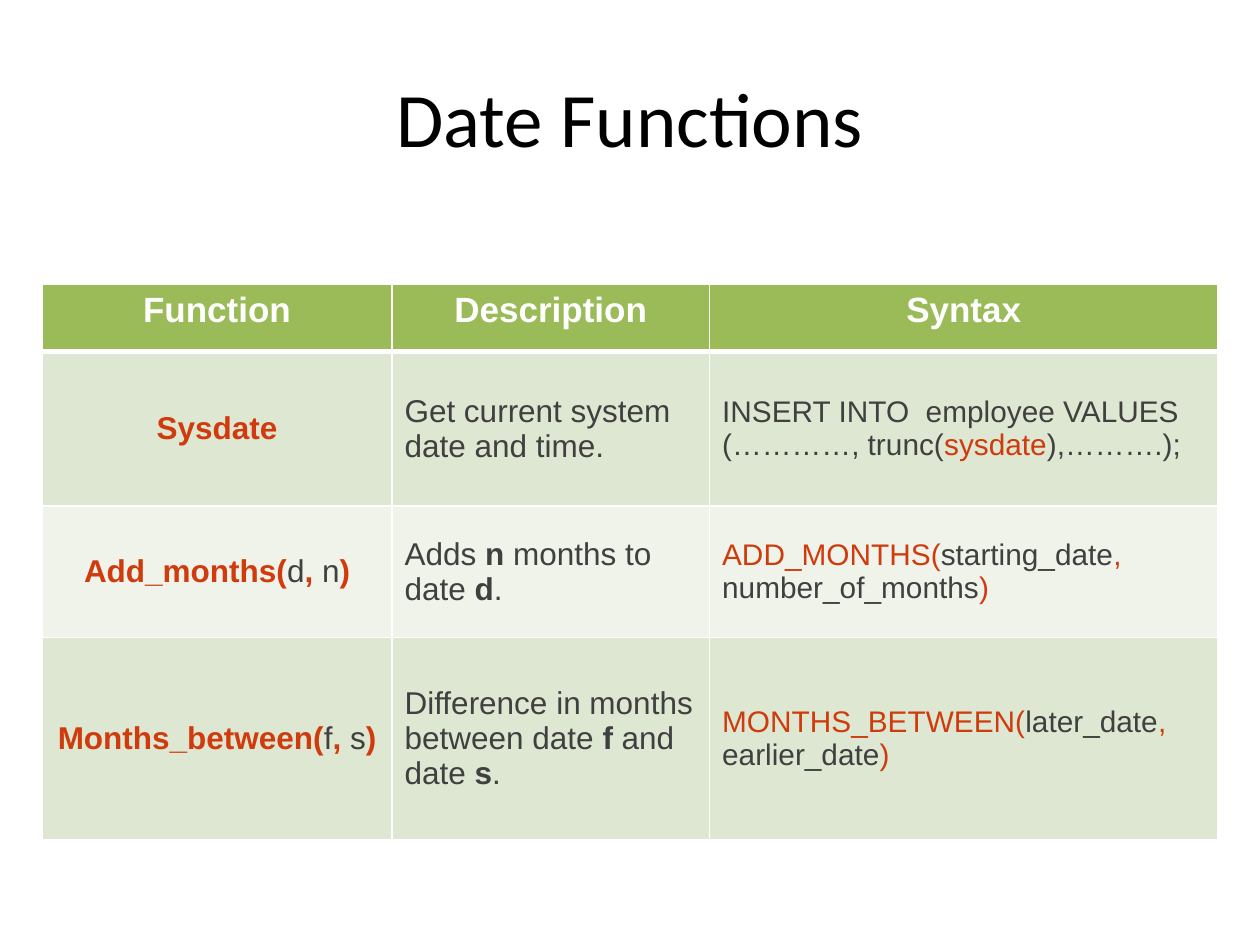
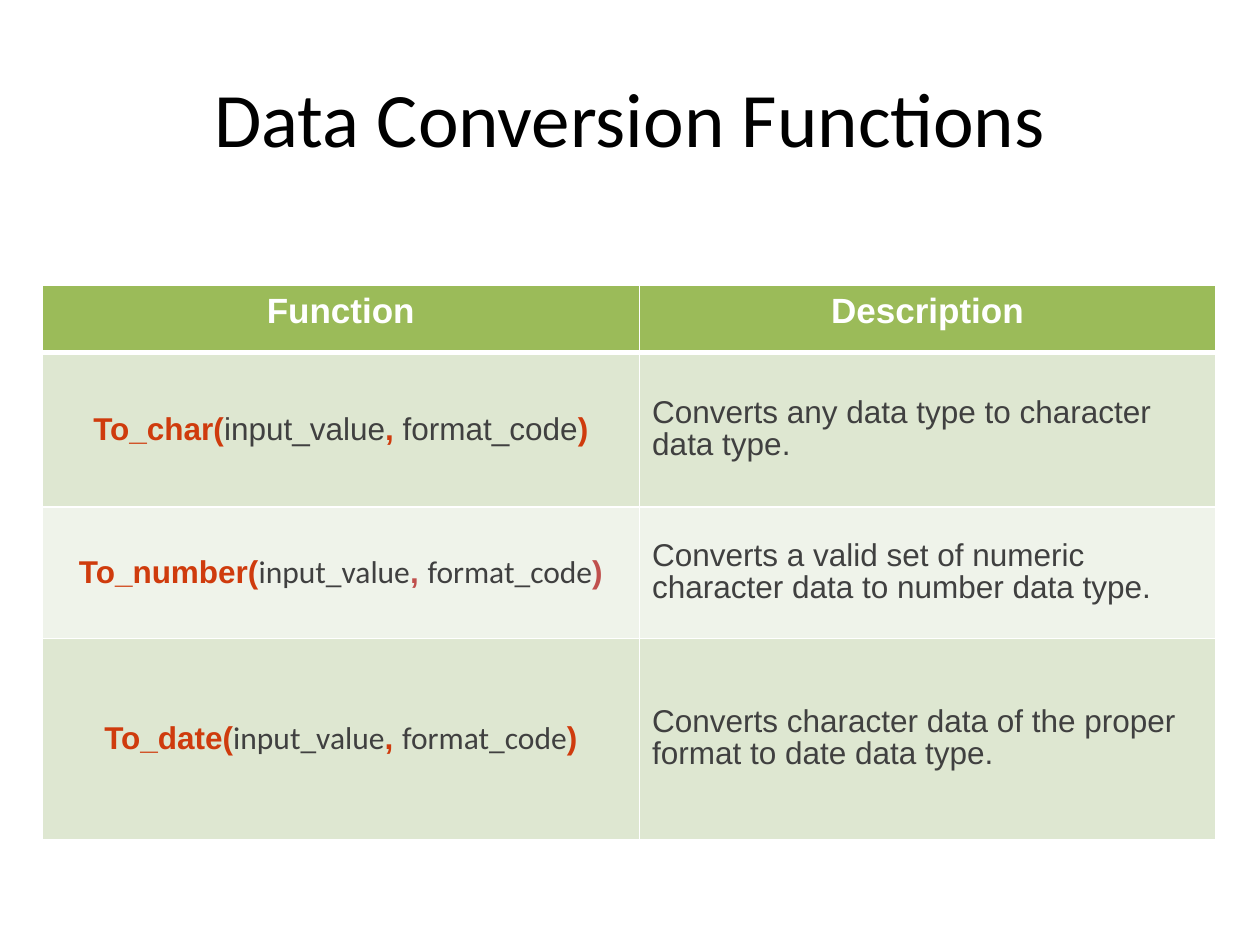
from dataclasses import dataclass

from lxml.etree import SubElement
from pptx import Presentation
from pptx.dml.color import RGBColor
from pptx.enum.text import MSO_ANCHOR as Anchor, PP_ALIGN as Align
from pptx.oxml.ns import qn
from pptx.util import Pt


@dataclass(frozen=True)
class Theme:
    """Hold the colours, fonts, type sizes and line widths of all slides."""
    title_color: str = "000000"
    header_fill: str = "9BBB59"
    band_fills: tuple = ("DEE7D1", "EFF3EA")
    white: str = "FFFFFF"
    body: str = "404040"
    accent: str = "CF3B0D"
    accent_soft: str = "C0504D"
    title_font: str = "Calibri"
    table_font: str = "Arial"
    title_size: int = 44
    header_size: int = 20
    body_size: int = 18
    syntax_size: int = 17
    thin_line: int = 1
    header_line: int = 3


THEME = Theme()
ROW_HEIGHTS = (38.4, 88.4, 75, 115.4)
TABLE_LEFT = 24


@dataclass(frozen=True)
class Cell:
    """Describe the paragraphs of a table cell and how they are set."""
    paragraphs: list
    align: Align = Align.LEFT
    size: int = THEME.body_size
    spacing: float = 1.0
    anchor: Anchor = Anchor.MIDDLE


def run(text, **style):
    """Pair a piece of text with its format."""
    return text, style


def call_runs(name, *arguments, bold=True, font=THEME.table_font, mark=THEME.accent):
    """Return the runs of a function call with its arguments in plain type."""
    runs = [run(f"{name}(", color=THEME.accent, bold=bold)]
    for index, argument in enumerate(arguments):
        if index:
            runs.append(run(", ", color=mark, bold=bold))
        runs.append(run(argument, font=font))
    return runs + [run(")", color=mark, bold=bold)]


def header_cell(text):
    """Return a cell of the header row."""
    runs = [run(text, color=THEME.white, bold=True)]
    return Cell([runs], Align.CENTER, THEME.header_size, anchor=Anchor.TOP)


def name_cell(runs, spacing=1.0):
    """Return a centred cell that names a function."""
    return Cell([runs], Align.CENTER, spacing=spacing)


def description_cell(*parts, spacing=1.0):
    """Return a description in which every second part is bold."""
    runs = [run(part, bold=index % 2 == 1) for index, part in enumerate(parts)]
    return Cell([runs], spacing=spacing)


def syntax_cell(*paragraphs):
    """Return a cell that shows the syntax of a function."""
    return Cell(list(paragraphs), size=THEME.syntax_size)


def add_run(paragraph, text, *, size, color=THEME.body, bold=False, font=THEME.table_font):
    """Append formatted text to a paragraph."""
    text_run = paragraph.add_run()
    text_run.text = text
    text_run.font.name = font
    text_run.font.size = Pt(size)
    text_run.font.bold = bold
    text_run.font.color.rgb = RGBColor.from_string(color)


def add_title(slide, text):
    """Add the centred slide title."""
    box = slide.shapes.add_textbox(Pt(36), Pt(21.6), Pt(648), Pt(90))
    frame = box.text_frame
    frame.word_wrap = True
    frame.vertical_anchor = Anchor.MIDDLE
    paragraph = frame.paragraphs[0]
    paragraph.alignment = Align.CENTER
    add_run(paragraph, text, size=THEME.title_size, color=THEME.title_color, font=THEME.title_font)


def set_borders(table_cell, top, bottom):
    """Draw white lines on the four sides of a cell."""
    properties = table_cell._tc.get_or_add_tcPr()
    widths = {"L": THEME.thin_line, "R": THEME.thin_line, "T": top, "B": bottom}
    for position, (side, width) in enumerate(widths.items()):
        line = SubElement(properties, qn(f"a:ln{side}"), w=str(Pt(width)))
        properties.insert(position, line)
        fill = SubElement(line, qn("a:solidFill"))
        SubElement(fill, qn("a:srgbClr"), val=THEME.white)


def fill_cell(table_cell, cell, color):
    """Write the content of a cell and colour its background."""
    table_cell.fill.solid()
    table_cell.fill.fore_color.rgb = RGBColor.from_string(color)
    table_cell.vertical_anchor = cell.anchor
    frame = table_cell.text_frame
    for index, runs in enumerate(cell.paragraphs):
        paragraph = frame.add_paragraph() if index else frame.paragraphs[0]
        paragraph.alignment = cell.align
        paragraph.line_spacing = cell.spacing
        for text, style in runs:
            add_run(paragraph, text, size=cell.size, **style)


def add_function_table(slide, top, widths, headings, body_rows):
    """Add a banded table with a header row."""
    rows = [[header_cell(heading) for heading in headings], *body_rows]
    table = slide.shapes.add_table(
        len(rows), len(widths), Pt(TABLE_LEFT), Pt(top), Pt(sum(widths)), Pt(sum(ROW_HEIGHTS))
    ).table
    table.first_row = table.horz_banding = False
    for column, width in zip(table.columns, widths):
        column.width = Pt(width)
    for row_index, (row, height) in enumerate(zip(rows, ROW_HEIGHTS)):
        table.rows[row_index].height = Pt(height)
        color = THEME.band_fills[(row_index - 1) % 2] if row_index else THEME.header_fill
        above = THEME.header_line if row_index == 1 else THEME.thin_line
        below = THEME.header_line if row_index == 0 else THEME.thin_line
        for column_index, cell in enumerate(row):
            table_cell = table.cell(row_index, column_index)
            fill_cell(table_cell, cell, color)
            set_borders(table_cell, above, below)


def add_date_functions(slide):
    """Build the slide on date functions."""
    add_title(slide, "Date Functions")
    add_function_table(slide, 162.5, (200, 181.5, 290.5), ("Function", "Description", "Syntax"), [
        [
            name_cell([run("Sysdate", color=THEME.accent, bold=True)]),
            description_cell("Get current system date and time."),
            syntax_cell(
                [run("INSERT INTO  employee VALUES")],
                [run("(…………, trunc("), run("sysdate", color=THEME.accent), run("),……….);")],
            ),
        ],
        [
            name_cell(call_runs("Add_months", "d", "n")),
            description_cell("Adds ", "n", " months to date ", "d", "."),
            syntax_cell(call_runs("ADD_MONTHS", "starting_date", "number_of_months", bold=False)),
        ],
        [
            name_cell(call_runs("Months_between", "f", "s")),
            description_cell("Difference in months between date ", "f", " and date ", "s", "."),
            syntax_cell(call_runs("MONTHS_BETWEEN", "later_date", "earlier_date", bold=False)),
        ],
    ])


def add_conversion_functions(slide):
    """Build the slide on data conversion functions."""
    add_title(slide, "Data Conversion Functions")
    tight = 0.9
    functions = [
        ("To_char", THEME.table_font, THEME.accent, 1.0,
         "Converts any data type to character data type."),
        ("To_number", THEME.title_font, THEME.accent_soft, tight,
         "Converts a valid set of numeric character data to number data type."),
        ("To_date", THEME.title_font, THEME.accent, tight,
         "Converts character data of the proper format to date data type."),
    ]
    add_function_table(slide, 163, (341.5, 329), ("Function", "Description"), [
        [
            name_cell(call_runs(name, "input_value", "format_code", font=font, mark=mark), spacing),
            description_cell(description, spacing=tight),
        ]
        for name, font, mark, spacing, description in functions
    ])


def main():
    """Build the presentation and save it."""
    presentation = Presentation()
    presentation.slide_width, presentation.slide_height = Pt(720), Pt(540)
    blank_layout = presentation.slide_layouts[6]
    for build in (add_date_functions, add_conversion_functions):
        build(presentation.slides.add_slide(blank_layout))
    presentation.save("out.pptx")


if __name__ == "__main__":
    main()
